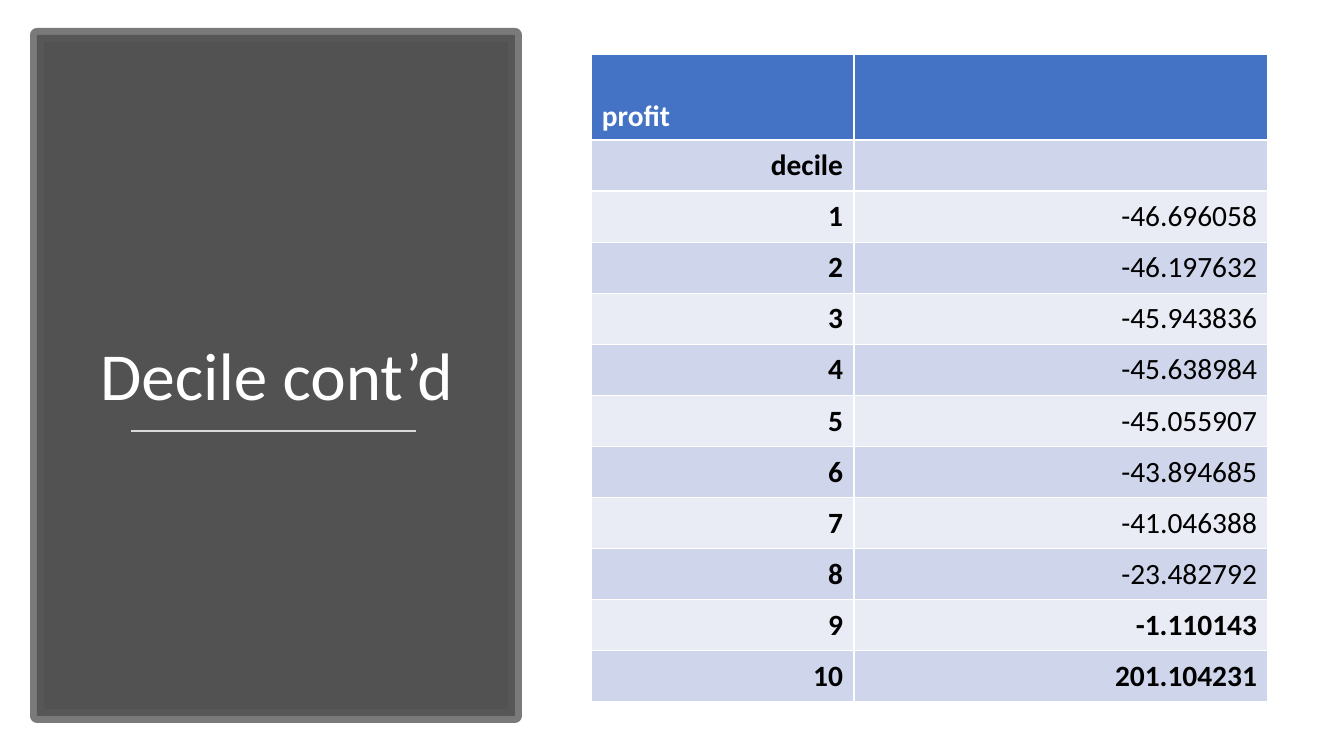
import pptx
import pptx.util
import pptx.dml.color
import pptx.enum.shapes
import pptx.enum.text
import pptx.oxml
import pptx.oxml.ns
import lxml.etree

SCALE = 914400 / 100.8
FONT = "Calibri"
ALIGN = pptx.enum.text.PP_ALIGN
ANCHOR = pptx.enum.text.MSO_ANCHOR
PROFITS = ["-46.696058", "-46.197632", "-45.943836", "-45.638984", "-45.055907",
           "-43.894685", "-41.046388", "-23.482792", "-1.110143", "201.104231"]


def px(size):
    return pptx.util.Emu(round(size * SCALE))


def color(code):
    return pptx.dml.color.RGBColor.from_string(code)


def paint(fill, code, alpha=None):
    fill.solid()
    fill.fore_color.rgb = color(code)
    if alpha:
        tone = fill._xPr.find(".//" + pptx.oxml.ns.qn("a:srgbClr"))
        lxml.etree.SubElement(tone, pptx.oxml.ns.qn("a:alpha")).set("val", str(alpha * 1000))


def write(frame, text, size, code, align, bold=False):
    frame.text = text
    para = frame.paragraphs[0]
    para.alignment = align
    font = para.runs[0].font
    font.name, font.size, font.bold = FONT, pptx.util.Pt(size), bold
    font.color.rgb = color(code)
    return para


def border(cell, code, width):
    props = cell._tc.get_or_add_tcPr()
    for index, side in enumerate(["lnL", "lnR", "lnT", "lnB"]):
        edge = pptx.oxml.parse_xml(
            f'<a:{side} {pptx.oxml.ns.nsdecls("a")} w="{pptx.util.Pt(width)}">'
            f'<a:solidFill><a:srgbClr val="{code}"/></a:solidFill></a:{side}>')
        props.insert(index, edge)


def panel(slide, left, top, width, height):
    shapes = slide.shapes
    back = shapes.add_shape(pptx.enum.shapes.MSO_SHAPE.RECTANGLE,
                            px(left), px(top), px(width), px(height))
    back.shadow.inherit = False
    paint(back.fill, "404040", 90)
    paint(back.line.fill, "595959", 80)
    back.line.width = pptx.util.Pt(10)

    title = shapes.add_textbox(px(left + 38), px(top + 66), px(width - 75), px(319))
    frame = title.text_frame
    frame.word_wrap = True
    frame.vertical_anchor = ANCHOR.BOTTOM
    para = write(frame, "Decile cont’d", 48, "FFFFFF", ALIGN.CENTER)
    para.line_spacing = 0.9

    rule = shapes.add_connector(pptx.enum.shapes.MSO_CONNECTOR.STRAIGHT,
                                px(left + 94), px(top + 396), px(left + 379), px(top + 396))
    rule.line.color.rgb = color("D9D9D9")
    rule.line.width = pptx.util.Pt(1.75)
    lxml.etree.SubElement(rule._element.spPr, pptx.oxml.ns.qn("a:effectLst"))


def grid(slide, left, top, width, height):
    rows = [("profit", ""), ("decile", "")]
    rows += [(str(rank), profit) for rank, profit in enumerate(PROFITS, 1)]
    table = slide.shapes.add_table(len(rows), 2, px(left), px(top), px(width), px(height)).table
    table.columns[0].width = px(263)
    table.columns[1].width = px(width - 263)
    head = 86
    step = (height - head) / (len(rows) - 1)
    for row, texts in enumerate(rows):
        first = row == 0
        table.rows[row].height = px(head if first else step)
        for col, text in enumerate(texts):
            cell = table.cell(row, col)
            cell.margin_left = cell.margin_right = px(11)
            cell.margin_top = cell.margin_bottom = px(6)
            cell.vertical_anchor = ANCHOR.BOTTOM if first else ANCHOR.MIDDLE
            paint(cell.fill, "4472C4" if first else "CFD5EA" if row % 2 else "E9EBF5")
            border(cell, "FFFFFF", 1)
            if text:
                write(cell.text_frame, text, 21, "FFFFFF" if first else "000000",
                      ALIGN.LEFT if first else ALIGN.RIGHT,
                      col == 0 or row >= len(rows) - 2)


deck = pptx.Presentation()
deck.slide_width, deck.slide_height = px(1344), px(756)
slide = deck.slides.add_slide(deck.slide_layouts[6])
panel(slide, 37, 35, 478, 681)
grid(slide, 591, 54, 677, 648)
deck.save("out.pptx")
